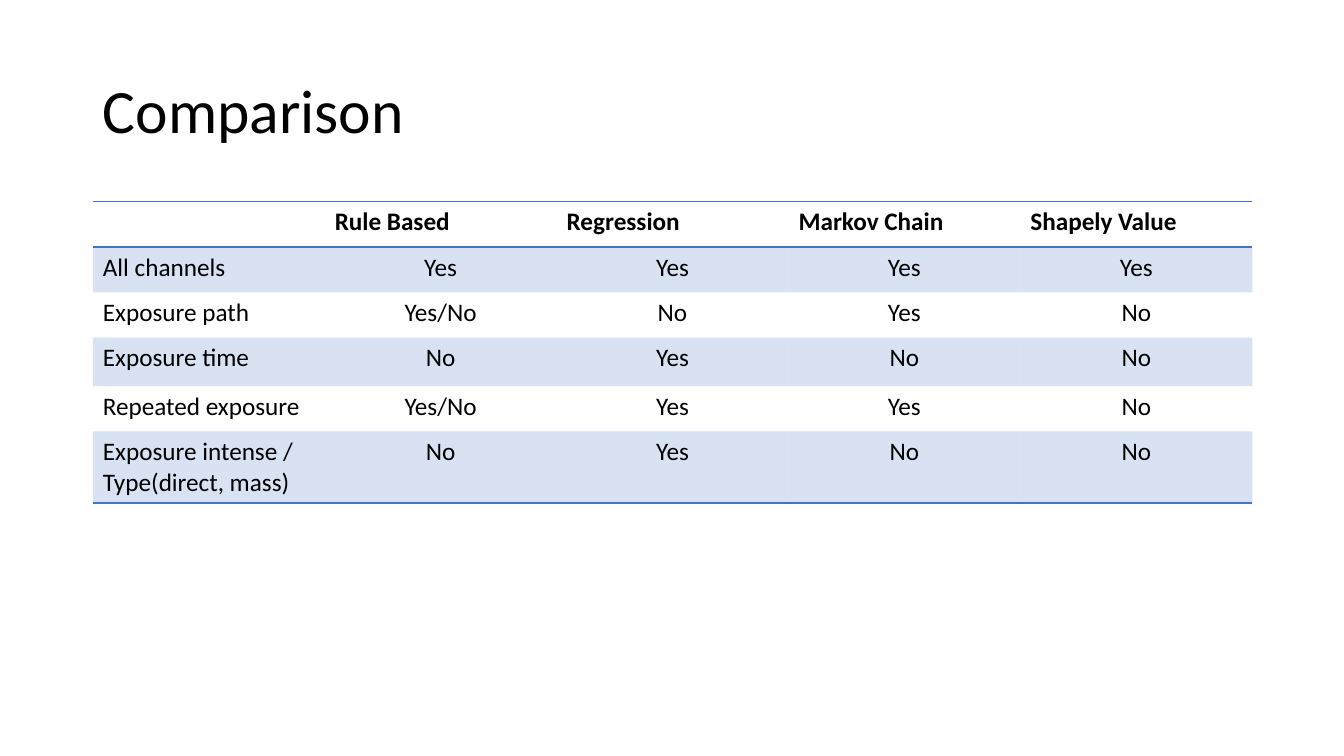
from dataclasses import dataclass

import lxml.etree
import pptx
import pptx.dml.color
import pptx.enum.text
import pptx.oxml.ns
import pptx.util

TITLE = "Comparison"
HEADER = ["", "Rule Based", "Regression", "Markov Chain", "Shapely Value"]
ROWS = [
    ["All channels", "Yes", "Yes", "Yes", "Yes"],
    ["Exposure path", "Yes/No", "No", "Yes", "No"],
    ["Exposure time", "No", "Yes", "No", "No"],
    ["Repeated exposure", "Yes/No", "Yes", "Yes", "No"],
    ["Exposure intense / Type(direct, mass)", "No", "Yes", "No", "No"],
]

SLIDE = (1333, 750)
TITLE_BOX = (92, 40, 1150, 145)
TABLE_BOX = (92, 200, 1150, 297)
ROW_HEIGHTS = [45, 45, 45, 48, 45, 45]
PLAIN_TABLE_STYLE = "{2D5ABB26-0587-4C30-8999-92F81FD0307C}"


@dataclass(frozen=True)
class Theme:
    font: str = "Calibri"
    text: str = "000000"
    accent: str = "4472C4"
    band_alpha: int = 20
    title_size: int = 44
    body_size: int = 18
    rule_width: int = 1


THEME = Theme()
ALIGN = pptx.enum.text.PP_ALIGN
qn = pptx.oxml.ns.qn


def px(n):
    """Turn px (100 to the inch) into EMU."""
    return pptx.util.Emu(n * 9144)


def write(tf, text, size, bold=False, align=ALIGN.LEFT, spacing=None):
    p = tf.paragraphs[0]
    p.alignment = align
    p.line_spacing = spacing
    if not text:
        p.font.size = pptx.util.Pt(size)
        return
    r = p.add_run()
    r.text = text
    r.font.name = THEME.font
    r.font.size = pptx.util.Pt(size)
    r.font.bold = bold
    r.font.color.rgb = pptx.dml.color.RGBColor.from_string(THEME.text)


def add_accent(parent, alpha=100):
    fill = lxml.etree.SubElement(parent, qn("a:solidFill"))
    color = lxml.etree.SubElement(fill, qn("a:srgbClr"), val=THEME.accent)
    if alpha < 100:
        lxml.etree.SubElement(color, qn("a:alpha"), val=str(alpha * 1000))


def style_cell(cell, edges, banded):
    """Draw the given edges (T, B) and then the band fill."""
    tcPr = cell._tc.get_or_add_tcPr()
    for edge in edges:
        width = str(pptx.util.Pt(THEME.rule_width))
        add_accent(lxml.etree.SubElement(tcPr, qn("a:ln" + edge), w=width))
    if banded:
        add_accent(tcPr, THEME.band_alpha)
    else:
        cell.fill.background()


def add_title(s):
    sp = s.shapes.title
    sp.left, sp.top, sp.width, sp.height = map(px, TITLE_BOX)
    tf = sp.text_frame
    tf.vertical_anchor = pptx.enum.text.MSO_ANCHOR.MIDDLE
    write(tf, TITLE, THEME.title_size, spacing=0.9)


def add_comparison(s):
    grid = [HEADER] + ROWS
    last = len(grid) - 1
    gf = s.shapes.add_table(len(grid), len(HEADER), *map(px, TABLE_BOX))
    table = gf.table
    table.first_row = table.horz_banding = False
    next(gf._element.iter(qn("a:tableStyleId"))).text = PLAIN_TABLE_STYLE
    for i, values in enumerate(grid):
        table.rows[i].height = px(ROW_HEIGHTS[i])
        edges = "TB" if i == 0 else "B" if i == last else ""
        for j, value in enumerate(values):
            cell = table.cell(i, j)
            align = ALIGN.CENTER if i and j else ALIGN.LEFT
            write(cell.text_frame, value, THEME.body_size, bold=i == 0, align=align)
            style_cell(cell, edges, banded=i % 2 == 1)
    gf.height = px(TABLE_BOX[3])


def main():
    prs = pptx.Presentation()
    prs.slide_width, prs.slide_height = map(px, SLIDE)
    s = prs.slides.add_slide(prs.slide_layouts.get_by_name("Title Only"))
    add_title(s)
    add_comparison(s)
    prs.save("out.pptx")


if __name__ == "__main__":
    main()
